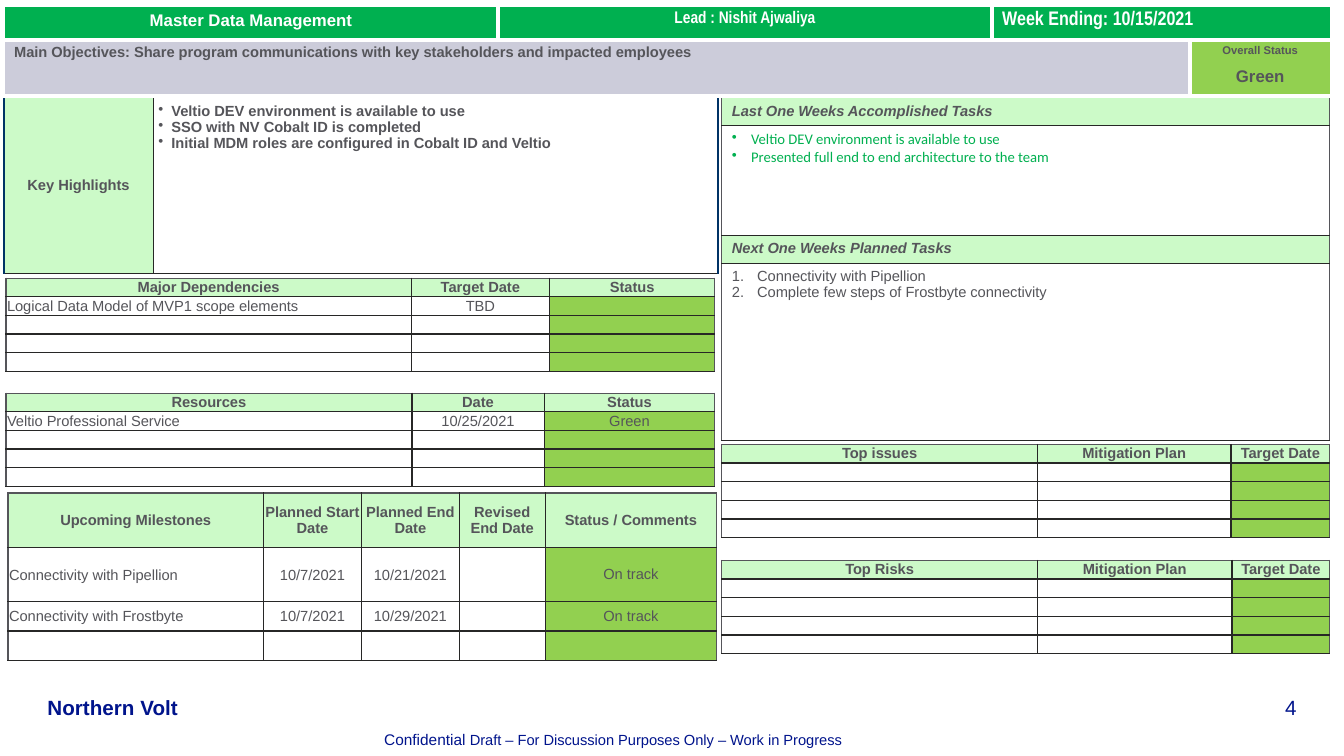
from dataclasses import dataclass, replace

from lxml import etree
from pptx import Presentation
from pptx.dml.color import RGBColor
from pptx.enum.text import MSO_ANCHOR, PP_ALIGN
from pptx.oxml.ns import qn
from pptx.slide import Slide
from pptx.table import _Cell
from pptx.text.text import TextFrame
from pptx.util import Inches, Pt

LEFT, CENTER, RIGHT = PP_ALIGN.LEFT, PP_ALIGN.CENTER, PP_ALIGN.RIGHT
TOP, MIDDLE, BOTTOM = MSO_ANCHOR.TOP, MSO_ANCHOR.MIDDLE, MSO_ANCHOR.BOTTOM
WIDTH, HEIGHT = Inches(13.33), Inches(7.5)
BODY_SIZE = 10.5
COLORS = {
    "white": "FFFFFF", "slate": "55555A", "ink": "272726", "navy": "003366", "footer": "00148C",
    "banner": "00B050", "objective": "CCCCDA", "status": "92D050", "heading": "9AF793",
}
NO_INSET = (0, 0, 0, 0)
ENTRY_INSET = (0.01, 0.01, 0.01, 0)
PANEL_INSET = (0.1, 0.05, 0.1, 0.05)
HIGHLIGHT_INSET = (0.05, 0.05, 0.05, 0.05)


@dataclass(frozen=True)
class Run:
    text: str
    size: float = BODY_SIZE
    font: str = "Arial"
    color: str = "slate"
    bold: bool = False
    italic: bool = False


@dataclass(frozen=True)
class Line:
    runs: tuple[Run, ...]
    align: PP_ALIGN = LEFT
    bullet: str = ""
    hang: float = 0
    before: float = 0


@dataclass(frozen=True)
class Entry:
    lines: tuple[Line, ...] = ()
    fill: str = "white"
    alpha: int = 100
    anchor: MSO_ANCHOR = MIDDLE
    inset: tuple[float, ...] = NO_INSET
    span: int = 1


@dataclass(frozen=True)
class Rule:
    color: str
    points: float = 1


@dataclass(frozen=True)
class Board:
    left: float
    top: float
    width: float
    height: float
    columns: tuple[float, ...]
    rows: tuple[float, ...]
    entries: tuple[tuple[Entry, ...], ...]
    side: Rule = Rule("slate")
    edge: Rule = Rule("slate")
    inner: Rule = Rule("ink")


@dataclass(frozen=True)
class Footer:
    left: float
    top: float
    width: float
    height: float
    line: Line


def heading(text: str) -> Entry:
    return Entry((Line((Run(text, bold=True),), CENTER),), "heading", 50)


def detail(text: str = "", align: PP_ALIGN = LEFT) -> Entry:
    return Entry((Line((Run(text),), align),) if text else (), inset=ENTRY_INSET)


def status(text: str = "") -> Entry:
    return replace(detail(text, CENTER), fill="status", inset=NO_INSET)


def banner(run: Run, align: PP_ALIGN = CENTER, span: int = 1) -> Entry:
    return Entry((Line((run,), align),), "banner", 100, TOP, PANEL_INSET, span)


def panel_title(text: str) -> Entry:
    return Entry((Line((Run(text, bold=True, italic=True),)),), "heading", 50, TOP, PANEL_INSET)


def listing(texts: tuple[str, ...], style: Run, bullet: str, hang: float,
            inset: tuple[float, ...] = PANEL_INSET) -> Entry:
    lines = tuple(Line((replace(style, text=text),), bullet=bullet, hang=hang) for text in texts)
    return Entry(lines, anchor=TOP, inset=inset)


def tracker(left: float, top: float, width: float, columns: tuple[float, ...],
            titles: tuple[str, ...], first: tuple[Entry, ...]) -> Board:
    spare = (detail(), detail(), status())
    entries = (tuple(map(heading, titles)), first) + (spare,) * 3
    return Board(left, top, width, 12.27, columns, (1,) * 5, entries)


def write(frame: TextFrame, lines: tuple[Line, ...]) -> None:
    for index, line in enumerate(lines):
        paragraph = frame.add_paragraph() if index else frame.paragraphs[0]
        paragraph.alignment = line.align
        if line.before:
            paragraph.space_before = Pt(line.before)
        if line.bullet:
            properties = paragraph._p.get_or_add_pPr()
            properties.set("marL", str(Inches(line.hang)))
            properties.set("indent", str(-Inches(line.hang)))
            if line.bullet == "1.":
                etree.SubElement(properties, qn("a:buAutoNum"), type="arabicPeriod")
            else:
                etree.SubElement(properties, qn("a:buChar"), char=line.bullet)
        for part in line.runs:
            run = paragraph.add_run()
            run.text = part.text
            run.font.size, run.font.name = Pt(part.size), part.font
            run.font.bold, run.font.italic = part.bold, part.italic
            run.font.color.rgb = RGBColor.from_string(COLORS[part.color])
    if not lines:
        etree.SubElement(frame.paragraphs[0]._p, qn("a:endParaRPr"), sz=str(int(BODY_SIZE * 100)))


def fill_cell(cell: _Cell, entry: Entry, rules: dict[str, Rule]) -> None:
    cell.margin_left, cell.margin_top, cell.margin_right, cell.margin_bottom = map(Inches, entry.inset)
    cell.vertical_anchor = entry.anchor
    properties = cell._tc.get_or_add_tcPr()
    for tag, rule in rules.items():
        border = etree.SubElement(properties, qn(f"a:{tag}"), w=str(Pt(rule.points)))
        solid = etree.SubElement(border, qn("a:solidFill"))
        etree.SubElement(solid, qn("a:srgbClr"), val=COLORS[rule.color])
    cell.fill.solid()
    cell.fill.fore_color.rgb = RGBColor.from_string(COLORS[entry.fill])
    if entry.alpha < 100:
        tint = properties.find(qn("a:solidFill")).find(qn("a:srgbClr"))
        etree.SubElement(tint, qn("a:alpha"), val=str(entry.alpha * 1000))
    write(cell.text_frame, entry.lines)


def place(item: Board | Footer) -> tuple[int, int, int, int]:
    return (int(WIDTH * item.left / 100), int(HEIGHT * item.top / 100),
            int(WIDTH * item.width / 100), int(HEIGHT * item.height / 100))


def draw_board(slide: Slide, board: Board) -> None:
    left, top, width, height = place(board)
    grid = slide.shapes.add_table(len(board.rows), len(board.columns), left, top, width, height).table
    grid.first_row = grid.horz_banding = False
    for column, share in zip(grid.columns, board.columns):
        column.width = int(width * share / sum(board.columns))
    for row, share in zip(grid.rows, board.rows):
        row.height = int(height * share / sum(board.rows))
    for r, entries in enumerate(board.entries):
        c = 0
        for entry in entries:
            end = c + entry.span
            if entry.span > 1:
                grid.cell(r, c).merge(grid.cell(r, end - 1))
            fill_cell(grid.cell(r, c), entry, {
                "lnL": board.inner if c else board.side,
                "lnR": board.inner if end < len(board.columns) else board.side,
                "lnT": board.inner if r else board.edge,
                "lnB": board.inner,
            })
            c = end


def draw_footer(slide: Slide, footer: Footer) -> None:
    frame = slide.shapes.add_textbox(*place(footer)).text_frame
    frame.word_wrap, frame.vertical_anchor = True, BOTTOM
    frame.margin_left = frame.margin_top = frame.margin_right = frame.margin_bottom = 0
    write(frame, (footer.line,))


WHITE_BOLD = Run("", 12, color="white", bold=True)
OVERALL = Entry((Line((Run("Overall Status", 8, bold=True),), CENTER),
                 Line((Run("Green", 12, bold=True),), CENTER, before=7)), "status", 100, TOP, PANEL_INSET)
OBJECTIVES = Entry((Line((Run("Main Objectives: Share program communications with key stakeholders and "
                              "impacted employees", bold=True),)),), "objective", 100, TOP, PANEL_INSET, 3)
HIGHLIGHTS = ("Veltio DEV environment is available to use", "SSO with NV Cobalt ID is completed",
              "Initial MDM roles are configured in Cobalt ID and Veltio")
ACCOMPLISHED = (HIGHLIGHTS[0], "Presented full end to end architecture to the team")
PLANNED = ("Connectivity with Pipellion", "Complete few steps of Frostbyte connectivity")
MILESTONES = (("Connectivity with Pipellion", "10/7/2021", "10/21/2021", "On track"),
              ("Connectivity with Frostbyte", "10/7/2021", "10/29/2021", "On track"), ("", "", "", ""))
UPCOMING = ("Upcoming Milestones", "Planned Start Date", "Planned End Date", "Revised End Date",
            "Status / Comments")
WHITE_RULE = Rule("white")

BOARDS = (
    Board(0.3, 12.93, 53.11, 23.2, (1.48, 5.6), (1,),
          ((heading("Key Highlights"), listing(HIGHLIGHTS, Run("", bold=True), "•", 0.13, HIGHLIGHT_INSET)),),
          Rule("navy", 1.5), Rule("ink")),
    Board(53.71, 12.93, 45.24, 45.2, (1,), (0.27, 1.09, 0.27, 1.75),
          ((panel_title("Last One Weeks Accomplished Tasks"),),
           (listing(ACCOMPLISHED, Run("", font="Calibri", color="banner"), "•", 0.19),),
           (panel_title("Next One Weeks Planned Tasks"),),
           (listing(PLANNED, Run(""), "1.", 0.25),))),
    Board(0.3, 0.8, 98.72, 11.73, (4.9, 4.9, 1.96, 1.4), (0.32, 0.56),
          ((banner(replace(WHITE_BOLD, text="Master Data Management")),
            banner(replace(WHITE_BOLD, text="Lead : Nishit Ajwaliya", font="Arial Narrow")),
            banner(replace(WHITE_BOLD, text="Week Ending: 10/15/2021", font="Arial Narrow", size=14), LEFT, 2)),
           (OBJECTIVES, OVERALL)), WHITE_RULE, WHITE_RULE, Rule("white", 3)),
    Board(0.6, 65.2, 52.74, 22.13, (2.53, 0.97, 0.97, 0.85, 1.7), (0.54, 0.54, 0.29, 0.29),
          (tuple(map(heading, UPCOMING)),) + tuple(
              (detail(name), detail(start, CENTER), detail(end, CENTER), detail(), status(state))
              for name, start, end, state in MILESTONES)),
    tracker(0.45, 36.8, 52.74, (4.02, 1.37, 1.64), ("Major Dependencies", "Target Date", "Status"),
            (detail("Logical Data Model of MVP1 scope elements"), detail("TBD", CENTER), status())),
    tracker(0.45, 52, 52.74, (4.02, 1.31, 1.69), ("Resources", "Date", "Status"),
            (detail("Veltio Professional Service"), detail("10/25/2021", CENTER), status("Green"))),
    tracker(53.71, 58.8, 45.24, (3.13, 1.92, 0.98), ("Top issues", "Mitigation Plan", "Target Date"),
            (detail(), detail(), status())),
    tracker(53.71, 74.13, 45.24, (3.13, 1.93, 0.97), ("Top Risks", "Mitigation Plan", "Target Date"),
            (detail(), detail(), status())),
)
FOOTERS = (
    Footer(90.62, 91.87, 5.85, 3.33, Line((Run("4", 14.7, color="footer"),), RIGHT)),
    Footer(3.53, 91.87, 12, 3.33, Line((Run("Northern Volt", 14.7, color="footer", bold=True),))),
    Footer(28.58, 96.53, 54.76, 2.53, Line((
        Run("Confidential", 11, color="footer"),
        Run(" Draft – For Discussion Purposes Only – Work in Progress", color="footer")))),
)


def main() -> None:
    deck = Presentation()
    deck.slide_width, deck.slide_height = WIDTH, HEIGHT
    slide = deck.slides.add_slide(deck.slide_layouts[6])
    for footer in FOOTERS:
        draw_footer(slide, footer)
    for board in BOARDS:
        draw_board(slide, board)
    deck.save("out.pptx")


if __name__ == "__main__":
    main()
